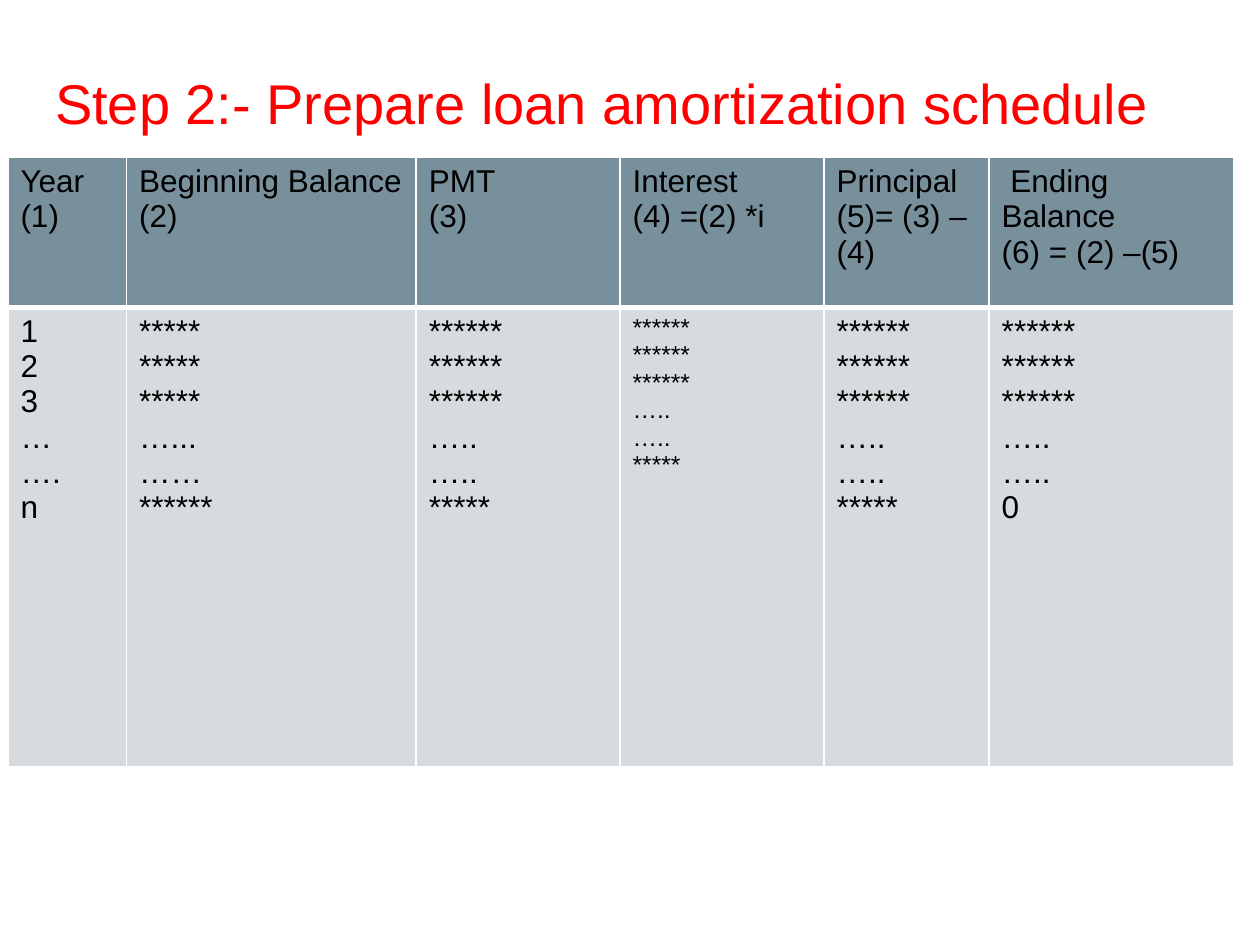
from dataclasses import dataclass

from lxml import etree
from pptx import Presentation
from pptx import util as u
from pptx.dml.color import RGBColor
from pptx.enum import text
from pptx.oxml import ns

FONT = "Arial"
BLACK, WHITE, RED = "000000", "FFFFFF", "FF0000"
HEADER_FILL, BODY_FILL = "78909C", "D6DBDE"
HEADER_HEIGHT, BODY_HEIGHT = 3.02, 9.25


@dataclass(frozen=True)
class ScheduleColumn:
    width: float
    heading: tuple[str, ...]
    entries: tuple[str, ...]
    entry_size: int = 18


AMOUNTS = ("******",) * 3 + ("…..",) * 2

SCHEDULE = (
    ScheduleColumn(2.39, ("Year", "(1)"), ("1", "2", "3", "…", "….", "n")),
    ScheduleColumn(5.84, ("Beginning Balance", "(2)"),
                   ("*****",) * 3 + ("…...", "……", "******")),
    ScheduleColumn(4.11, ("PMT", "(3)"), AMOUNTS + ("*****",)),
    ScheduleColumn(4.11, ("Interest", "(4) =(2) *i"), AMOUNTS + ("*****",), 14),
    ScheduleColumn(3.33, ("Principal", "(5)= (3) – (4)"), AMOUNTS + ("*****",)),
    ScheduleColumn(4.93, (" Ending Balance", "(6) = (2) –(5)"), AMOUNTS + ("0",)),
)


def colour(hex_value: str) -> RGBColor:
    return RGBColor.from_string(hex_value)


def write_lines(frame, lines: tuple[str, ...], size: int, ink: str) -> None:
    for index, line in enumerate(lines):
        paragraph = frame.paragraphs[0] if index == 0 else frame.add_paragraph()
        paragraph.alignment = text.PP_ALIGN.LEFT
        run = paragraph.add_run()
        run.text = line
        run.font.name = FONT
        run.font.size = u.Pt(size)
        run.font.bold = False
        run.font.color.rgb = colour(ink)


def draw_borders(cell, bottom_width: int) -> None:
    properties = cell._tc.get_or_add_tcPr()
    for side, width in (("L", 1), ("R", 1), ("T", 1), ("B", bottom_width)):
        line = etree.SubElement(properties, ns.qn(f"a:ln{side}"), w=str(u.Pt(width)))
        fill = etree.SubElement(line, ns.qn("a:solidFill"))
        etree.SubElement(fill, ns.qn("a:srgbClr"), val=WHITE)


def fill_cell(cell, lines: tuple[str, ...], size: int, fill: str, bottom_width: int) -> None:
    draw_borders(cell, bottom_width)
    cell.fill.solid()
    cell.fill.fore_color.rgb = colour(fill)
    write_lines(cell.text_frame, lines, size, BLACK)


def add_title(slide) -> None:
    title = slide.shapes.title
    title.left, title.top = u.Cm(0.86), u.Cm(0.64)
    title.width, title.height = u.Cm(23.67), u.Cm(2.34)
    frame = title.text_frame
    frame.word_wrap = True
    frame.auto_size = text.MSO_AUTO_SIZE.NONE
    frame.vertical_anchor = text.MSO_ANCHOR.BOTTOM
    frame.margin_left = frame.margin_right = u.Cm(0.25)
    frame.margin_top = frame.margin_bottom = u.Cm(0.25)
    write_lines(frame, ("Step 2:- Prepare loan amortization schedule",), 32, RED)


def add_schedule(slide) -> None:
    total_width = sum(column.width for column in SCHEDULE)
    schedule = slide.shapes.add_table(
        2, len(SCHEDULE), u.Cm(0.16), u.Cm(3.18),
        u.Cm(total_width), u.Cm(HEADER_HEIGHT + BODY_HEIGHT)).table
    schedule.rows[0].height = u.Cm(HEADER_HEIGHT)
    schedule.rows[1].height = u.Cm(BODY_HEIGHT)
    for index, column in enumerate(SCHEDULE):
        schedule.columns[index].width = u.Cm(column.width)
        fill_cell(schedule.cell(0, index), column.heading, 18, HEADER_FILL, 3)
        fill_cell(schedule.cell(1, index), column.entries, column.entry_size, BODY_FILL, 1)


def main() -> None:
    deck = Presentation()
    deck.slide_width, deck.slide_height = u.Cm(25.4), u.Cm(19.05)
    slide = deck.slides.add_slide(deck.slide_layouts[0])
    subtitle = slide.placeholders[1].element
    subtitle.getparent().remove(subtitle)
    add_title(slide)
    add_schedule(slide)
    deck.save("out.pptx")


if __name__ == "__main__":
    main()
